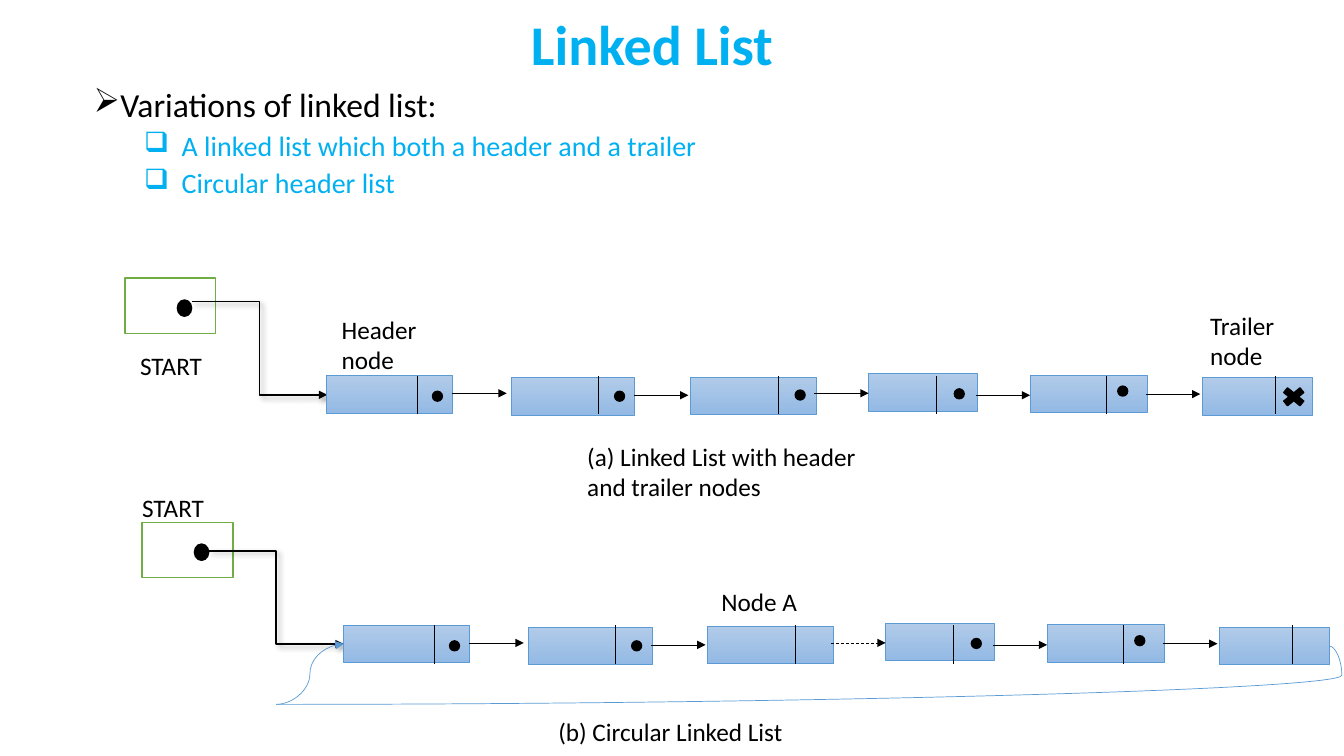
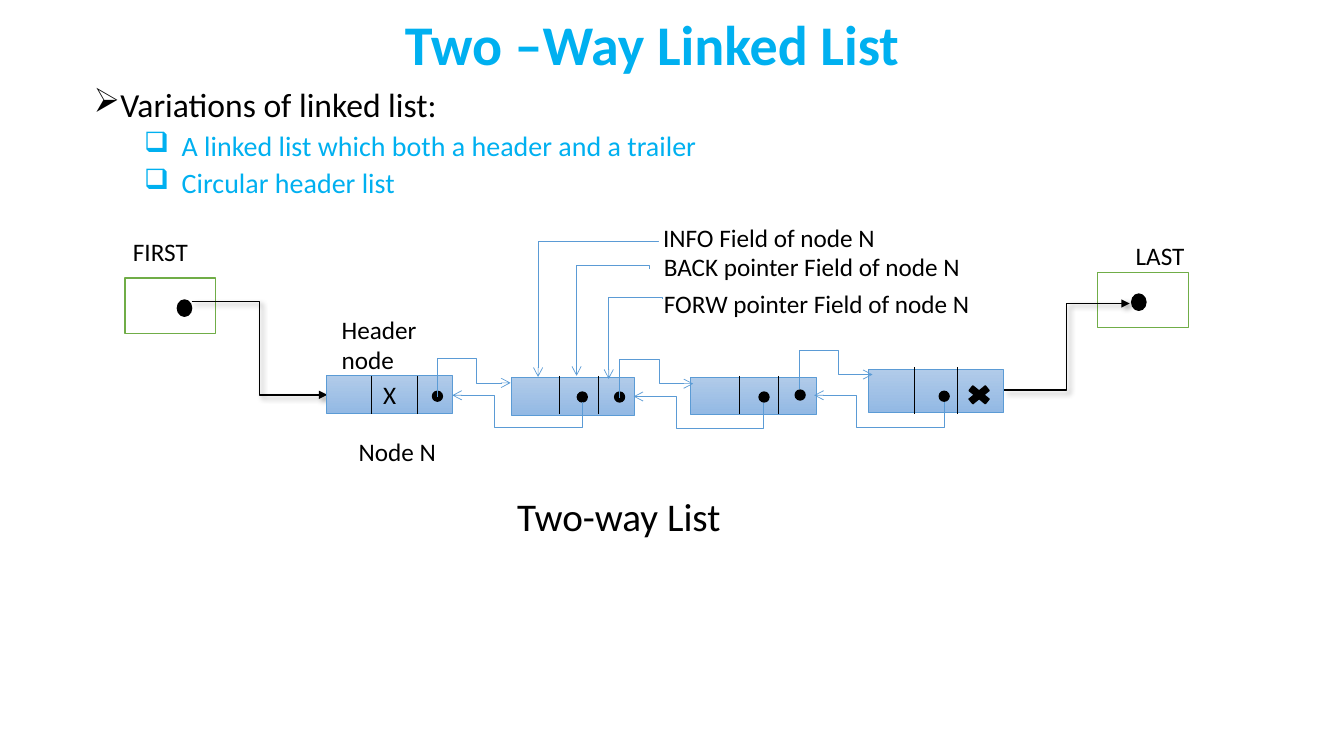
from lxml import etree
from pptx import Presentation
from pptx.dml.color import RGBColor
from pptx.enum.dml import MSO_LINE
from pptx.enum.shapes import MSO_CONNECTOR, MSO_SHAPE
from pptx.enum.text import MSO_ANCHOR, MSO_AUTO_SIZE, PP_ALIGN
from pptx.oxml.ns import qn
from pptx.util import Cm, Pt

COLOURS = {
    "black": "000000",
    "white": "FFFFFF",
    "accent": "00B0F0",
    "green": "70AD47",
    "blue": "5B9BD5",
    "node_top": "B1CBE9",
    "node_bottom": "93B9E4",
}
FONT = "Calibri"
DASH = MSO_LINE.DASH
STRAIGHT, ELBOW, CURVE = MSO_CONNECTOR.STRAIGHT, MSO_CONNECTOR.ELBOW, MSO_CONNECTOR.CURVE
RECTANGLE, OVAL, CROSS = MSO_SHAPE.RECTANGLE, MSO_SHAPE.OVAL, MSO_SHAPE.MATH_MULTIPLY
BOTTOM = MSO_ANCHOR.BOTTOM
NO_FIT = MSO_AUTO_SIZE.NONE
LEFT, CENTER, JUSTIFY = PP_ALIGN.LEFT, PP_ALIGN.CENTER, PP_ALIGN.JUSTIFY

ROW_TOP = 9.47
NODE_HEIGHT = 0.94
DIVIDER_HEIGHT = 0.97
ARROW_LENGTH = 1.37


def colour(name):
    return RGBColor.from_string(COLOURS[name])


def write(frame, text, size=18, color="black", bold=False, align=LEFT,
          spacing=None, before=None, bullet=None, margin=0, indent=0):
    para = frame.paragraphs[0]
    if para.runs:
        para = frame.add_paragraph()
    if bullet:
        properties = para._p.get_or_add_pPr()
        properties.set("marL", str(Cm(margin)))
        properties.set("indent", str(Cm(indent)))
        etree.SubElement(properties, qn("a:buChar")).set("char", bullet)
    para.alignment = align
    if spacing:
        para.line_spacing = spacing
    if before:
        para.space_before = Pt(before)
    span = para.add_run()
    span.text = text
    span.font.name = FONT
    span.font.size = Pt(size)
    span.font.bold = bold
    span.font.color.rgb = colour(color)


def add_box(page, left, top, width, height):
    box = page.shapes.add_textbox(Cm(left), Cm(top), Cm(width), Cm(height))
    box.text_frame.word_wrap = True
    return box.text_frame


def add_label(page, text, left, top, width, height=1.02, **style):
    write(add_box(page, left, top, width, height), text, **style)


def add_shape(page, kind, left, top, width, height, fill="black", line="black", weight=1):
    shape = page.shapes.add_shape(kind, Cm(left), Cm(top), Cm(width), Cm(height))
    shape.shadow.inherit = False
    shape.fill.solid()
    shape.fill.fore_color.rgb = colour(fill)
    shape.line.color.rgb = colour(line)
    shape.line.width = Pt(weight)
    return shape


def add_line(page, start, end, kind=STRAIGHT, color="black", weight=0.5,
             head=None, dash=None, shadow=False):
    points = [Cm(value) for value in (*start, *end)]
    connector = page.shapes.add_connector(kind, *points)
    connector.line.color.rgb = colour(color)
    connector.line.width = Pt(weight)
    if dash:
        connector.line.dash_style = dash
    if head:
        etree.SubElement(connector.line._get_or_add_ln(), qn("a:tailEnd")).set("type", head)
    effects = etree.SubElement(connector._element.spPr, qn("a:effectLst"))
    if shadow:
        outer = etree.SubElement(effects, qn("a:outerShdw"), blurRad=str(Pt(4)),
                                 dist=str(Pt(3)), dir="2700000", algn="tl", rotWithShape="0")
        tone = etree.SubElement(outer, qn("a:srgbClr"), val=COLOURS["black"])
        etree.SubElement(tone, qn("a:alpha"), val="40000")
    return connector


def bend(connector, preset, ratios):
    geometry = connector._element.spPr.find(qn("a:prstGeom"))
    geometry.set("prst", preset)
    guides = geometry.find(qn("a:avLst"))
    if guides is None:
        guides = etree.SubElement(geometry, qn("a:avLst"))
    for number, ratio in enumerate(ratios, 1):
        etree.SubElement(guides, qn("a:gd"), name=f"adj{number}",
                         fmla=f"val {round(ratio * 100000)}")


def add_vertical_elbow(page, start, end, via_y, via_x=None):
    (x1, y1), (x2, y2) = start, end
    across, down = x2 - x1, y2 - y1
    middle_x, middle_y = (x1 + x2) / 2, (y1 + y2) / 2
    connector = add_line(page, (middle_x - down / 2, middle_y + across / 2),
                         (middle_x + down / 2, middle_y - across / 2),
                         kind=ELBOW, color="blue", head="arrow")
    connector._element.spPr.find(qn("a:xfrm")).set("rot", "5400000")
    ratios = [(via_y - y1) / down]
    if via_x is not None:
        ratios.append((via_x - x1) / across)
    bend(connector, f"bentConnector{len(ratios) + 2}", ratios)


def add_pointer_line(page, start, end):
    add_line(page, start, end, kind=ELBOW, weight=1, head="triangle", shadow=True)


def add_pointer_box(page, left, top, dot_shift=1.32):
    add_shape(page, RECTANGLE, left, top, 2.29, 1.4, fill="white", line="green")
    add_shape(page, OVAL, left + dot_shift, top + 0.55, 0.36, 0.41)


def add_node(page, left, top, width, height=NODE_HEIGHT, dividers=(), divider_top=ROW_TOP,
             divider_height=DIVIDER_HEIGHT, dots=(), cross=None, text=None):
    node = add_shape(page, RECTANGLE, left, top, width, height, line="blue", weight=0.5)
    node.fill.gradient()
    node.fill.gradient_angle = 270
    for stop, name in zip(node.fill.gradient_stops, ("node_top", "node_bottom")):
        stop.color.rgb = colour(name)
    if text:
        write(node.text_frame, text, align=CENTER)
    for x in dividers:
        add_line(page, (x, divider_top), (x, divider_top + divider_height))
    for x, y in dots:
        add_shape(page, OVAL, x, y, 0.25, 0.25)
    if cross:
        add_shape(page, CROSS, *cross, 0.79, 0.64)


def add_chain(page, right=0, down=0, undotted=(), dashed=(), cross=None):
    nodes = [
        (8.23, 9.47, 3.18, 10.52, (10.9, 9.86)),
        (12.88, 9.52, 3.12, 15.09, (15.49, 9.86)),
        (17.4, 9.5, 3.18, 19.61, (20.04, 9.83)),
        (21.89, 9.42, 2.74, 23.6, (24.05, 9.8)),
        (25.96, 9.45, 2.95, 27.89, (28.17, 9.73)),
        (30.3, 9.52, 2.77, 32.13, None),
    ]
    for number, (left, top, width, divider, dot) in enumerate(nodes, 1):
        dots = []
        if dot and number not in undotted:
            dots = [(dot[0] + right, dot[1] + down)]
        add_node(page, left + right, top + down, width, dividers=[divider + right],
                 divider_top=ROW_TOP + down, dots=dots,
                 cross=cross if number == len(nodes) else None)
    arrows = [(11.4, 9.91), (15.98, 9.96), (20.52, 9.91), (24.59, 9.96), (28.88, 9.93)]
    for number, (x, y) in enumerate(arrows, 1):
        add_line(page, (x + right, y + down), (x + right + ARROW_LENGTH, y + down),
                 head="triangle", dash=DASH if number in dashed else None)


def add_page(deck, title):
    page = deck.slides.add_slide(deck.slide_layouts[5])
    holder = page.shapes.title
    holder.left, holder.top, holder.width, holder.height = Cm(1.9), Cm(0.03), Cm(29.06), Cm(2.06)
    frame = holder.text_frame
    frame.auto_size = NO_FIT
    frame.vertical_anchor = BOTTOM
    write(frame, title, size=40, color="accent", bold=True, align=CENTER, spacing=0.9)
    body = add_box(page, 2.11, 2.11, 31.39, 3.2)
    write(body, "Variations of linked list:", size=24, align=JUSTIFY, spacing=0.9, bullet="➢")
    for item in ("A linked list which both a header and a trailer", "Circular header list"):
        write(body, item, size=20, color="accent", align=JUSTIFY, spacing=0.9, before=5,
              bullet="❑", margin=2.22, indent=-0.95)
    add_pointer_box(page, 3.15, 7.01)
    add_pointer_line(page, (4.83, 7.6), (8.25, 9.95))
    add_label(page, "Header node", 8.36, 7.8, 2.84, 1.8)
    return page


def build_linked_list(deck):
    page = add_page(deck, "Linked List")
    add_chain(page, cross=(32.21, 9.68))
    add_label(page, "START", 3.28, 8.71, 2.29)
    add_label(page, "Trailer node", 30.25, 7.7, 2.84, 1.8)
    add_label(page, "(a) Linked List with header and trailer nodes", 14.55, 11, 7.77, 1.8)

    add_label(page, "START", 3.33, 12.29, 2.29)
    add_pointer_box(page, 3.58, 13.16)
    add_pointer_line(page, (5.26, 13.89), (8.66, 16.23))
    add_chain(page, right=0.43, down=6.29, undotted=(3,), dashed=(3,))
    add_label(page, "Node A", 17.93, 14.66, 2.44)
    add_label(page, "(b) Circular Linked List", 13.82, 17.93, 8.48)
    loop = add_line(page, (33.5, 16.28), (6.96, 17.75), kind=CURVE, color="blue")
    bend(loop, "curvedConnector3", [-0.012])
    add_line(page, (6.96, 17.75), (8.66, 16.23), kind=CURVE, color="blue", head="triangle")


def build_two_way_list(deck):
    page = add_page(deck, "Two –Way Linked List")
    add_node(page, 8.23, 9.47, 3.18, dividers=(9.37, 10.52), dots=[(10.9, 9.86)], text="X")
    add_node(page, 12.88, 9.52, 3.12, dividers=(14.1, 15.09),
             dots=[(14.55, 9.88), (15.49, 9.88)])
    add_node(page, 17.4, 9.5, 3.18, dividers=(18.64, 19.61),
             dots=[(19.13, 9.88), (20.04, 9.83)])
    add_node(page, 21.89, 9.3, 3.4, height=1.09, dividers=(23.04, 24.13), divider_top=9.25,
             divider_height=1.19, dots=[(23.67, 9.86)], cross=(24.28, 9.63))

    for x, y in ((14.68, 10.13), (19.25, 10.16), (23.8, 10.13)):
        add_vertical_elbow(page, (x, y), (x - 3.28, y - 0.17), y + 0.64, x - 2.21)
    for x, y in ((11.02, 10.01), (15.62, 10.03), (20.14, 9.8)):
        add_vertical_elbow(page, (x, y), (x + 1.85, y - 0.36), y - 0.97, x + 0.99)

    fields = [
        ("INFO", 16.46, 5.49, (16.59, 6.07), (13.56, 9.5), 6.08),
        ("BACK pointer", 16.48, 6.22, (16.36, 6.78), (14.53, 9.47), 6.68),
        ("FORW pointer", 16.48, 7.14, (16.69, 7.54), (15.34, 9.55), 7.49),
    ]
    for name, left, top, start, end, via_y in fields:
        add_label(page, f"{name} Field of node N", left, top, 10.41)
        add_vertical_elbow(page, start, end, via_y)

    add_label(page, "FIRST", 3.1, 5.84, 2.29)
    add_label(page, "Node N", 8.79, 10.87, 2.9)
    add_label(page, "Two-way List", 11.71, 12.29, 7.77, 1.45, size=28, align=CENTER)
    add_label(page, "LAST", 28.37, 5.94, 2.29)
    add_pointer_box(page, 27.66, 6.86, dot_shift=0.86)
    add_pointer_line(page, (25.3, 9.83), (28.47, 7.65))


def main():
    deck = Presentation()
    deck.slide_width, deck.slide_height = Cm(33.87), Cm(19.05)
    build_linked_list(deck)
    build_two_way_list(deck)
    deck.save("out.pptx")


if __name__ == "__main__":
    main()
